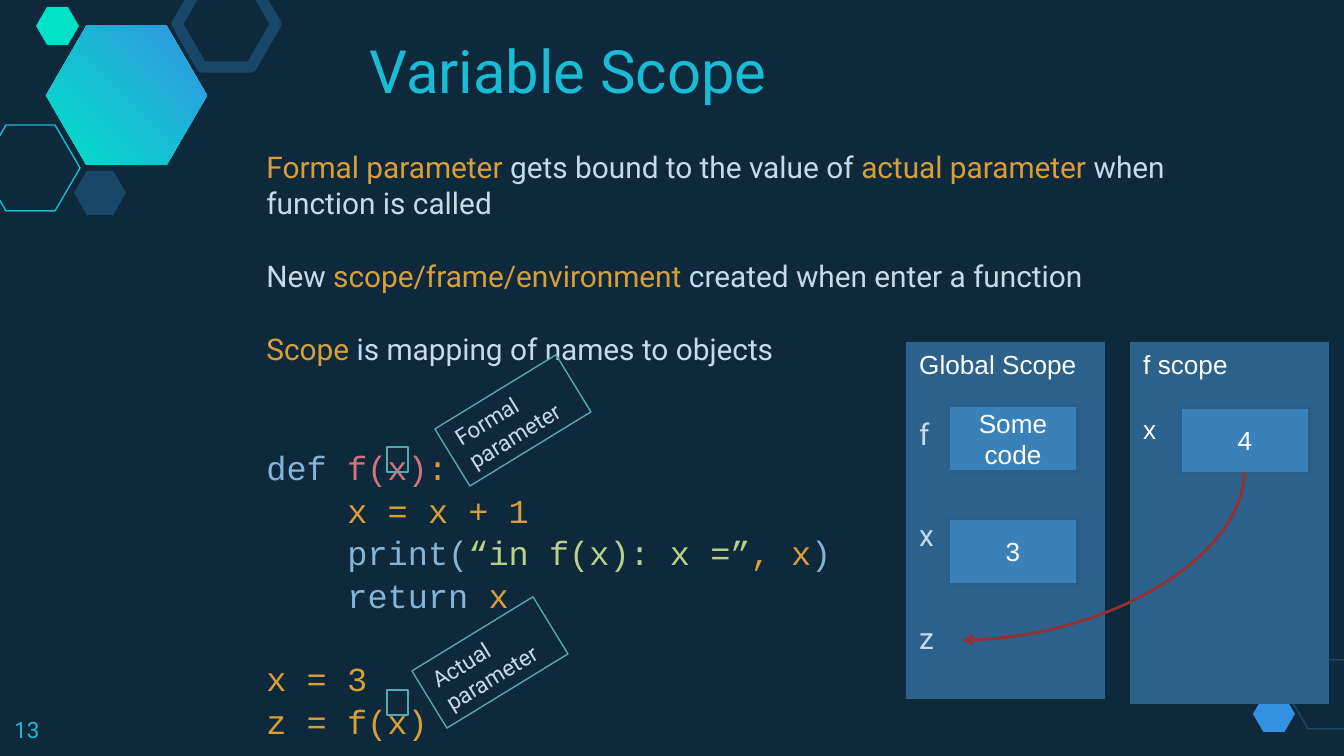
from dataclasses import dataclass
from typing import Optional

from lxml import etree
from pptx import Presentation
from pptx import util as u
from pptx.dml.color import RGBColor
from pptx.enum import shapes, text
from pptx.oxml.ns import qn

EMU_PER_PIXEL = 914400 / 134.4
NAVY, CYAN, DEEP_BLUE = "0E293C", "19BBD5", "184769"
GOLD, PALE, SKY, ROSE, LIME = "D89F39", "C6DAEC", "85B4D9", "D07576", "BBD189"
WHITE, FRAME_TEAL = "FFFFFF", "57A7B5"
PANEL_BLUE, VALUE_BLUE, VALUE_EDGE, ARROW_RED = "2B618B", "3A81BA", "2B5F8A", "952F30"
LEFT, CENTER = text.PP_ALIGN.LEFT, text.PP_ALIGN.CENTER
TOP, MIDDLE = text.MSO_ANCHOR.TOP, text.MSO_ANCHOR.MIDDLE


@dataclass
class Box:
    left: int
    top: int
    width: int
    height: int

    def emu(self) -> list[int]:
        return [px(side) for side in (self.left, self.top, self.width, self.height)]


@dataclass
class Line:
    runs: list[tuple[str, str]]
    size: int = 16
    font: str = "Roboto"
    before: float = 0
    indent: int = 0
    align: text.PP_ALIGN = LEFT


@dataclass
class Hexagon:
    box: Box
    fill: Optional[str] = None
    edge: Optional[str] = None
    weight: float = 0.75


def px(pixels: float) -> int:
    return round(pixels * EMU_PER_PIXEL)


def rgb(value: str) -> RGBColor:
    return RGBColor.from_string(value)


def write(shape, lines: list[Line], anchor=TOP, wrap: bool = True) -> None:
    frame = shape.text_frame
    frame.word_wrap = wrap
    frame.auto_size = text.MSO_AUTO_SIZE.NONE
    frame.vertical_anchor = anchor
    for index, line in enumerate(lines):
        paragraph = frame.add_paragraph() if index else frame.paragraphs[0]
        paragraph.alignment = line.align
        paragraph.space_before = u.Pt(line.before)
        properties = paragraph._p.get_or_add_pPr()
        properties.set("marL", str(px(line.indent)))
        properties.set("indent", "0")
        etree.SubElement(properties, qn("a:buNone"))
        for words, color in line.runs:
            run = paragraph.add_run()
            run.text = words
            run.font.name = line.font
            run.font.size = u.Pt(line.size)
            run.font.color.rgb = rgb(color)


def draw(kind, box: Box, fill: Optional[str] = None, edge: Optional[str] = None,
         weight: float = 0.75):
    shape = slide.shapes.add_shape(kind, *box.emu())
    shape.shadow.inherit = False
    if fill:
        shape.fill.solid()
        shape.fill.fore_color.rgb = rgb(fill)
    else:
        shape.fill.background()
    if edge:
        shape.line.color.rgb = rgb(edge)
        shape.line.width = u.Pt(weight)
    else:
        shape.line.fill.background()
    return shape


def draw_hexagon(hexagon: Hexagon):
    shape = draw(shapes.MSO_SHAPE.HEXAGON, hexagon.box, hexagon.fill, hexagon.edge, hexagon.weight)
    shape.adjustments[0] = 0.29
    return shape


def draw_rectangle(box: Box, **style):
    return draw(shapes.MSO_SHAPE.RECTANGLE, box, **style)


def place(shape, box: Box) -> None:
    shape.left, shape.top, shape.width, shape.height = box.emu()


presentation = Presentation()
presentation.slide_width, presentation.slide_height = px(1344), px(756)
slide = presentation.slides.add_slide(presentation.slide_layouts[1])
slide.background.fill.solid()
slide.background.fill.fore_color.rgb = rgb(NAVY)

# Title and body
title, body = slide.placeholders
place(title, Box(356, 27, 470, 86))
write(title, [Line([("Variable Scope", CYAN)], size=32)], wrap=False)


def code(*runs: tuple[str, str], before: float = 1.25, indent: int = 0) -> Line:
    return Line(list(runs), 18, "Courier New", before, indent)


BLOCK_GAP = 20
CODE_INDENT = 81
place(body, Box(253, 142, 1005, 633))
write(body, [
    Line([("Formal parameter ", GOLD), ("gets bound to the value of ", PALE),
          ("actual parameter", GOLD), (" when function is called", PALE)]),
    Line([("New ", PALE), ("scope/frame/environment ", GOLD),
          ("created when enter a function", PALE)], before=BLOCK_GAP),
    Line([("Scope", GOLD), (" is mapping of names to objects", PALE)], before=BLOCK_GAP),
    code(("def ", SKY), ("f(x)", ROSE), (":", GOLD), before=43),
    code(("x = x + 1", GOLD), indent=CODE_INDENT),
    code(("print(", SKY), ("“in f(x): x =”", LIME), (", x", GOLD), (")", SKY), indent=CODE_INDENT),
    code(("return ", SKY), ("x", GOLD), indent=CODE_INDENT),
    code(("x = 3", GOLD), before=23),
    code(("z = f(x)", GOLD)),
])

# Corner hexagons
accent = draw_hexagon(Hexagon(Box(46, 26, 161, 139), fill=CYAN))
accent.fill.gradient()
accent.fill.gradient_angle = 45
for stop, color in zip(accent.fill.gradient_stops, ("00E2C7", "3393E2")):
    stop.color.rgb = rgb(color)
for hexagon in (
    Hexagon(Box(-19, 125, 99, 86), edge=CYAN),
    Hexagon(Box(74, 171, 52, 44), fill=DEEP_BLUE),
    Hexagon(Box(177, -19, 99, 86), edge=DEEP_BLUE, weight=6),
    Hexagon(Box(36, 7, 43, 38), fill="00E1C6"),
    Hexagon(Box(1288, 660, 79, 69), edge=DEEP_BLUE),
    Hexagon(Box(1253, 696, 42, 36), fill="3292E1"),
):
    draw_hexagon(hexagon)

# Slide number
number = slide.shapes.add_textbox(*Box(1, 703, 81, 52).emu())
number.text_frame.margin_top = px(13)
write(number, [Line([("13", CYAN)], size=12)])

# Tilted callouts and the parameters they point at
for label, left, top, marker_top in (("Formal parameter", 442, 387, 447),
                                     ("Actual parameter", 419, 629, 690)):
    callout = draw_rectangle(Box(left, top, 142, 67), edge=FRAME_TEAL)
    callout.rotation = 328.5
    write(callout, [Line([(label, PALE)], size=12)])
    draw_rectangle(Box(387, marker_top, 21, 25), edge=FRAME_TEAL, weight=1)

# Scope panels
global_panel = draw_rectangle(Box(906, 342, 199, 357), fill=PANEL_BLUE)
write(global_panel, [
    Line([("Global Scope", WHITE)], 14, "Arial"),
    Line([("f", PALE)], before=19),
    Line([("x", PALE)], before=35),
    Line([("z", PALE)], before=36),
])
function_panel = draw_rectangle(Box(1130, 342, 199, 362), fill=PANEL_BLUE)
write(function_panel, [
    Line([("f scope", WHITE)], 14, "Arial"),
    Line([("x", WHITE)], 14, "Arial", before=18),
])

# Values held in the scopes
for label, left, top in (("Some code", 948, 405), ("3", 948, 518), ("4", 1180, 407)):
    value = draw_rectangle(Box(left, top, 130, 67), fill=VALUE_BLUE, edge=VALUE_EDGE, weight=2)
    write(value, [Line([(label, WHITE)], 14, "Arial", align=CENTER)], anchor=MIDDLE)

# Returned value flows back to z: a quarter curve turned by 90 degrees
arrow = slide.shapes.add_connector(shapes.MSO_CONNECTOR.CURVE,
                                   px(1019), px(415), px(1187), px(697))
arrow.line.color.rgb = rgb(ARROW_RED)
arrow.line.width = u.Pt(1.5)
properties = arrow._element.spPr
properties.find(qn("a:xfrm")).set("rot", str(90 * 60000))
properties.find(qn("a:prstGeom")).set("prst", "curvedConnector2")
etree.SubElement(properties.find(qn("a:ln")), qn("a:tailEnd"), type="triangle")
etree.SubElement(properties, qn("a:effectLst"))

presentation.save("out.pptx")
